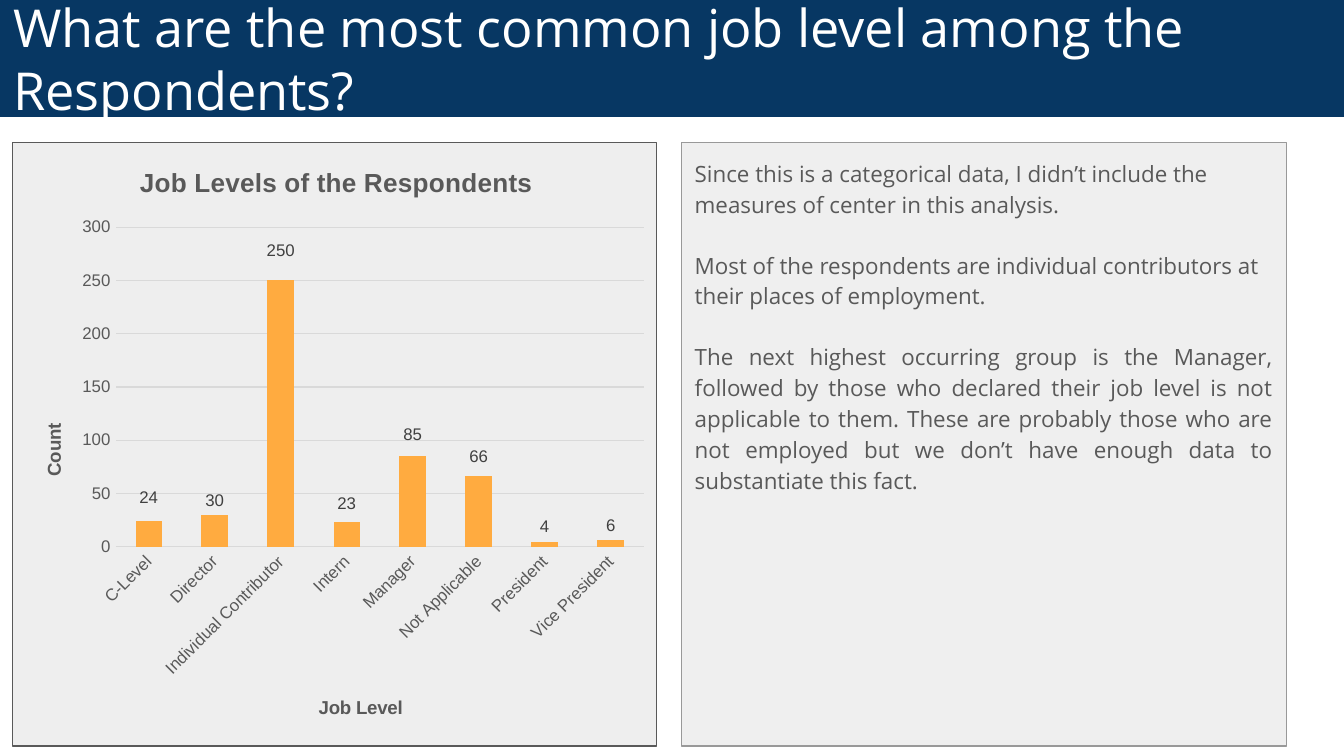
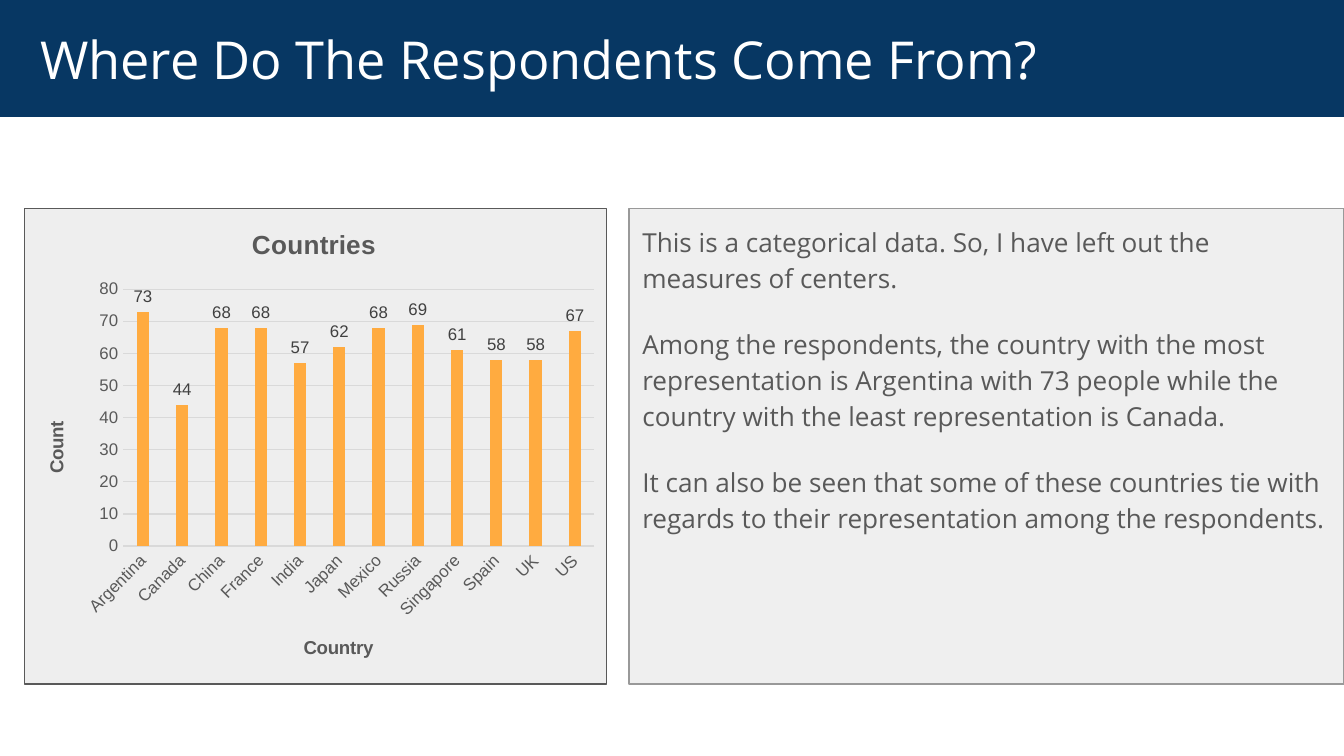
from dataclasses import dataclass
from typing import NamedTuple

from lxml.etree import SubElement
from pptx import Presentation
from pptx.chart.data import CategoryChartData
from pptx.dml.color import RGBColor
from pptx.enum.chart import XL_CHART_TYPE as ChartType
from pptx.enum.chart import XL_LABEL_POSITION as LabelPosition
from pptx.enum.chart import XL_TICK_MARK as TickMark
from pptx.enum.shapes import MSO_SHAPE as Shape
from pptx.enum.text import MSO_ANCHOR as Anchor
from pptx.enum.text import PP_ALIGN as Align
from pptx.oxml import parse_xml
from pptx.oxml.ns import nsdecls, qn
from pptx.util import Cm, Pt

COLORS = {
    "band": "073763", "band_text": "FFFFFF",
    "text_panel": "EFEFEF", "text_edge": "999999",
    "chart_panel": "EEEEEE", "chart_edge": "595959",
    "body": "595959", "grid": "D9D9D9", "bar": "FFAB40", "value": "404040",
}
BODY_FONT, CHART_FONT = "Open Sans", "Arial"
WIDTH, HEIGHT, BAND_HEIGHT = Cm(25.4), Cm(14.29), Cm(2.21)
INSET = Cm(0.25)


class Box(NamedTuple):
    """Left, top, width and height in centimetres."""
    left: float
    top: float
    width: float
    height: float

    def lengths(self) -> list:
        return [Cm(side) for side in self]


class Heading(NamedTuple):
    """A chart heading, with its corner as a share of the chart."""
    text: str
    x: float
    y: float


class Paragraph(NamedTuple):
    text: str
    align: Align | None = None


@dataclass(frozen=True)
class CountChart:
    kind: ChartType
    box: Box
    plot_area: Box  # shares of the chart
    title: Heading
    category_title: Heading
    count_title: Heading
    counts: dict[str, int]
    top_count: int
    step: int
    gap: int
    overlap: int
    label_position: LabelPosition
    label_shifts: tuple[float, ...] = ()


@dataclass(frozen=True)
class Question:
    title: str
    title_inset: Cm
    chart_panel: Box
    chart: CountChart
    text_panel: Box
    text_size: int
    findings: tuple[Paragraph, ...]


QUESTIONS = [
    Question(
        title="What are the most common job level among the Respondents?",
        title_inset=INSET,
        chart_panel=Box(0.24, 2.7, 12.17, 11.4),
        chart=CountChart(
            kind=ChartType.COLUMN_STACKED,
            box=Box(0.24, 2.7, 12.17, 11.4),
            plot_area=Box(0.16, 0.14, 0.82, 0.53),
            title=Heading("Job Levels of the Respondents", 0.19, 0.03),
            category_title=Heading("Job Level", 0.47, 0.91),
            count_title=Heading("Count", 0.04, 0.46),
            counts={"C-Level": 24, "Director": 30, "Individual Contributor": 250,
                    "Intern": 23, "Manager": 85, "Not Applicable": 66,
                    "President": 4, "Vice President": 6},
            top_count=300, step=50, gap=150, overlap=100,
            label_position=LabelPosition.CENTER,
            label_shifts=(-0.06, -0.05, -0.27, -0.05, -0.11, -0.09, -0.03, -0.03),
        ),
        text_panel=Box(12.88, 2.7, 11.43, 11.4),
        text_size=12,
        findings=(
            Paragraph("Since this is a categorical data, I didn’t include the "
                      "measures of center in this analysis."),
            Paragraph("Most of the respondents are individual contributors at "
                      "their places of employment."),
            Paragraph("The next highest occurring group is the Manager, followed by "
                      "those who declared their job level is not applicable to them. "
                      "These are probably those who are not employed but we don’t "
                      "have enough data to substantiate this fact.", Align.JUSTIFY),
        ),
    ),
    Question(
        title="Where Do The Respondents Come From?",
        title_inset=Cm(0.76),
        chart_panel=Box(0.46, 3.94, 11, 8.99),
        chart=CountChart(
            kind=ChartType.COLUMN_CLUSTERED,
            box=Box(0.33, 3.94, 11.13, 8.99),
            plot_area=Box(0.18, 0.17, 0.8, 0.54),
            title=Heading("Countries", 0.39, 0.03),
            category_title=Heading("Country", 0.48, 0.89),
            count_title=Heading("Count", 0.04, 0.44),
            counts={"Argentina": 73, "Canada": 44, "China": 68, "France": 68,
                    "India": 57, "Japan": 62, "Mexico": 68, "Russia": 69,
                    "Singapore": 61, "Spain": 58, "UK": 58, "US": 67},
            top_count=80, step=10, gap=219, overlap=-27,
            label_position=LabelPosition.OUTSIDE_END,
        ),
        text_panel=Box(11.89, 3.94, 13.51, 8.99),
        text_size=14,
        findings=(
            Paragraph("This is a categorical data. So, I have left out the "
                      "measures of centers."),
            Paragraph("Among the respondents, the country with the most "
                      "representation is Argentina with 73 people while the country "
                      "with the least representation is Canada."),
            Paragraph("It can also be seen that some of these countries tie with "
                      "regards to their representation among the respondents."),
        ),
    ),
]


def color(name: str) -> RGBColor:
    return RGBColor.from_string(COLORS[name])


def style_font(font, name: str, size: int, color_name: str, bold: bool = False) -> None:
    font.name, font.size, font.bold = name, Pt(size), bold
    font.color.rgb = color(color_name)


def add_panel(slide, sides, fill: str, edge: str | None = None):
    panel = slide.shapes.add_shape(Shape.RECTANGLE, *sides)
    panel.shadow.inherit = False
    panel.fill.solid()
    panel.fill.fore_color.rgb = color(fill)
    if edge:
        panel.line.color.rgb = color(edge)
        panel.line.width = Pt(0.75)
    else:
        panel.line.fill.background()
    return panel


def open_frame(panel, anchor: Anchor, left=INSET):
    frame = panel.text_frame
    frame.word_wrap = True
    frame.vertical_anchor = anchor
    frame.margin_left = left
    frame.margin_top = frame.margin_right = frame.margin_bottom = INSET
    return frame


def add_title_band(slide, title: str, inset) -> None:
    band = add_panel(slide, (0, 0, WIDTH, BAND_HEIGHT), "band")
    paragraph = open_frame(band, Anchor.MIDDLE, inset).paragraphs[0]
    paragraph.alignment = Align.LEFT
    run = paragraph.add_run()
    run.text = title
    style_font(run.font, BODY_FONT, 28, "band_text")


def add_findings(slide, question: Question) -> None:
    panel = add_panel(slide, question.text_panel.lengths(), "text_panel", "text_edge")
    frame = open_frame(panel, Anchor.TOP)
    for number, finding in enumerate(question.findings):
        paragraph = frame.add_paragraph() if number else frame.paragraphs[0]
        paragraph.alignment = finding.align or Align.LEFT
        paragraph.line_spacing = 1.15
        paragraph.space_after = Pt(16)
        run = paragraph.add_run()
        run.text = finding.text
        style_font(run.font, BODY_FONT, question.text_size, "body")


def place(parent, index: int, **settings) -> None:
    """Give a chart part a manual layout; settings come in schema order."""
    for old in parent.findall(qn("c:layout")):
        parent.remove(old)
    layout = parse_xml(f"<c:layout {nsdecls('c')}><c:manualLayout/></c:layout>")
    for tag, value in settings.items():
        SubElement(layout[0], qn(f"c:{tag}")).set("val", str(value))
    parent.insert(index, layout)


def write_heading(title, heading: Heading, size: int, rotation: int = 0) -> None:
    run = title.text_frame.paragraphs[0].add_run()
    run.text = heading.text
    style_font(run.font, CHART_FONT, size, "body", bold=True)
    title.element.xpath(".//a:bodyPr")[0].set("rot", str(rotation))
    place(title.element, 1, xMode="edge", yMode="edge", x=heading.x, y=heading.y)


def style_axes(chart, counts: CountChart) -> None:
    categories, values = chart.category_axis, chart.value_axis
    for axis in (categories, values):
        axis.major_tick_mark = axis.minor_tick_mark = TickMark.NONE
        style_font(axis.tick_labels.font, CHART_FONT, 9, "body")
    write_heading(categories.axis_title, counts.category_title, 10)
    write_heading(values.axis_title, counts.count_title, 10, -5400000)
    chart.element.xpath(".//c:catAx/c:txPr/a:bodyPr")[0].set("rot", "-2700000")

    values.minimum_scale, values.maximum_scale = 0, counts.top_count
    values.major_unit = counts.step
    values.has_major_gridlines = True
    values.format.line.fill.background()
    for line in (categories.format.line, values.major_gridlines.format.line):
        line.color.rgb = color("grid")
        line.width = Pt(0.75)


def hide_leader_lines(label_list) -> None:
    for old in label_list.findall(qn("c:showLeaderLines")):
        label_list.remove(old)
    SubElement(label_list, qn("c:showLeaderLines")).set("val", "0")
    label_list.append(parse_xml(
        f"<c:extLst {nsdecls('c')}>"
        '<c:ext uri="{CE6537A1-D6FC-4f65-9D91-7224C49458BB}" '
        'xmlns:c15="http://schemas.microsoft.com/office/drawing/2012/chart">'
        '<c15:showLeaderLines val="0"/></c:ext></c:extLst>'))


def style_bars(plot, counts: CountChart) -> None:
    plot.vary_by_categories = False
    plot.gap_width, plot.overlap = counts.gap, counts.overlap
    bars = plot.series[0]
    bars.invert_if_negative = False
    bars.format.fill.solid()
    bars.format.fill.fore_color.rgb = color("bar")

    labels = bars.data_labels
    labels.show_value = True
    labels.position = counts.label_position
    style_font(labels.font, CHART_FONT, 9, "value")
    # Lift the labels of stacked columns above their bars
    for number in range(len(counts.label_shifts)):
        label = bars.points[number].data_label
        label.position = counts.label_position
        style_font(label.font, CHART_FONT, 9, "value")
    label_list = plot.series[0]._element.find(qn("c:dLbls"))
    for lifted, shift in zip(label_list.findall(qn("c:dLbl")), counts.label_shifts):
        place(lifted, 1, x=0, y=shift)
    hide_leader_lines(label_list)


def add_count_chart(slide, counts: CountChart) -> None:
    data = CategoryChartData()
    data.categories = list(counts.counts)
    data.add_series("Series 1", list(counts.counts.values()))
    chart = slide.shapes.add_chart(counts.kind, *counts.box.lengths(), data).chart
    chart.has_legend = False
    chart.font.name, chart.font.size = CHART_FONT, Pt(10)
    # Let the panel behind show through
    chart.element.find(qn("c:txPr")).addprevious(parse_xml(
        f"<c:spPr {nsdecls('c', 'a')}><a:noFill/><a:ln><a:noFill/></a:ln></c:spPr>"))
    write_heading(chart.chart_title, counts.title, 14)
    style_axes(chart, counts)
    style_bars(chart.plots[0], counts)
    area = counts.plot_area
    place(chart.element.xpath(".//c:plotArea")[0], 0, layoutTarget="inner",
          xMode="edge", yMode="edge", x=area.left, y=area.top,
          w=area.width, h=area.height)


def add_question(deck, question: Question) -> None:
    slide = deck.slides.add_slide(deck.slide_layouts[6])
    add_findings(slide, question)
    add_panel(slide, question.chart_panel.lengths(), "chart_panel", "chart_edge")
    add_title_band(slide, question.title, question.title_inset)
    add_count_chart(slide, question.chart)


def main() -> None:
    deck = Presentation()
    deck.slide_width, deck.slide_height = WIDTH, HEIGHT
    for question in QUESTIONS:
        add_question(deck, question)
    deck.save("out.pptx")


if __name__ == "__main__":
    main()
